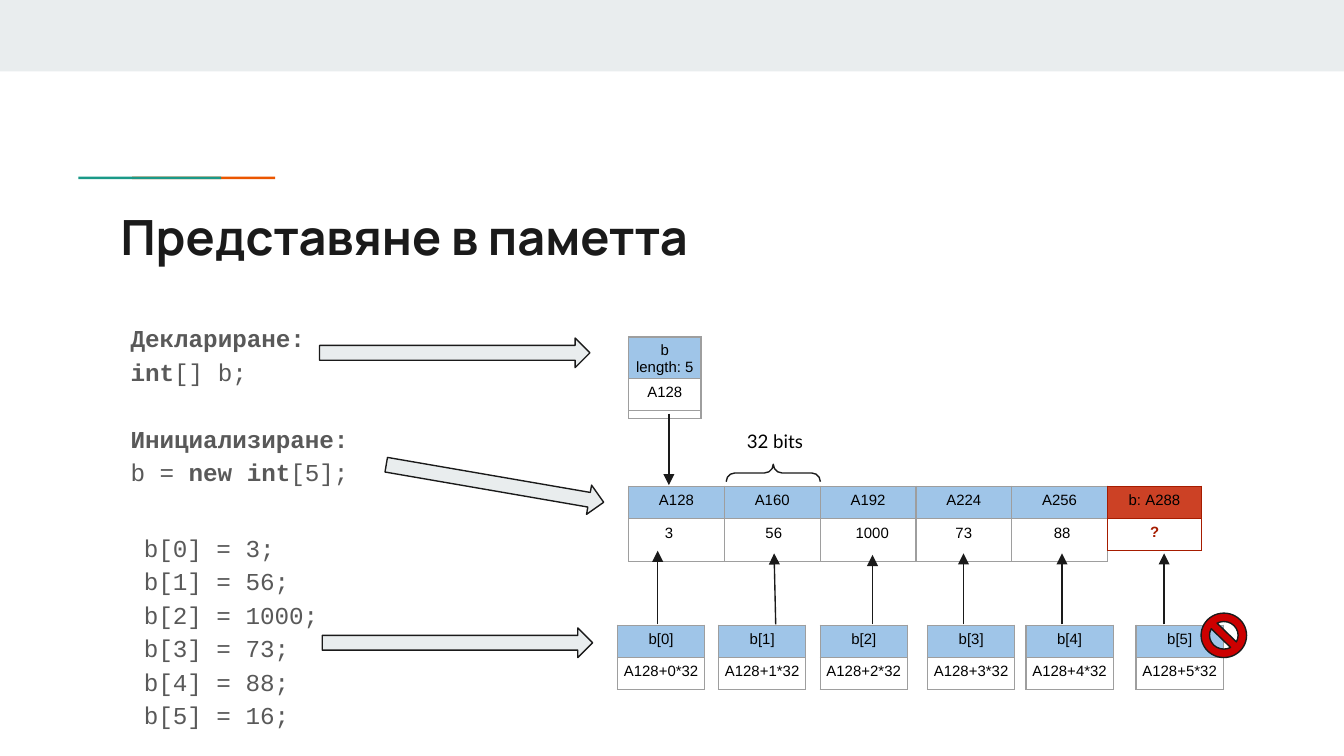
import pptx
import pptx.util
import pptx.dml.color
import pptx.enum.shapes
import pptx.enum.text
import lxml.etree
from dataclasses import dataclass

Cm = pptx.util.Cm
Pt = pptx.util.Pt
Kind = pptx.enum.shapes.MSO_SHAPE
Align = pptx.enum.text.PP_ALIGN
qn = pptx.oxml.ns.qn


@dataclass(frozen=True)
class Theme:
    pale: str = "E9EDEE"
    green: str = "1A9988"
    orange: str = "EB5600"
    ink: str = "1A1A1A"
    gray: str = "595959"
    black: str = "000000"
    grid: str = "9E9E9E"
    blue: str = "9FC5E8"
    red: str = "CC4125"
    dark: str = "A61C00"
    stop: str = "CC0000"
    title: float = 26
    code: float = 13
    note: float = 10
    cell: float = 8
    line: float = 0.75


T = Theme()


def rgb(color):
    return pptx.dml.color.RGBColor.from_string(color)


def style(para, face, size, color, bold=None, align=None):
    font = para.font
    font.name, font.size, font.bold = face, Pt(size), bold
    font.color.rgb = rgb(color)
    para.alignment = align


def box(slide, place, pads=(0.25, 0.25, 0.25, 0.25)):
    frame = slide.shapes.add_textbox(*map(Cm, place)).text_frame
    frame.word_wrap = True
    frame.margin_left, frame.margin_top, frame.margin_right, frame.margin_bottom = map(Cm, pads)
    return frame.paragraphs[0]


def label(slide, place, text, face, size, color, **look):
    para = box(slide, place, look.pop("pads", (0.25, 0.25, 0.25, 0.25)))
    para.text = text
    style(para, face, size, color, **look)


def code(slide, place, lines):
    """Each line is a list of (text, bold) pairs."""
    para = box(slide, place)
    para.line_spacing = 1.15
    style(para, "Courier New", T.code, T.gray)
    for num, line in enumerate(lines):
        if num:
            para.add_line_break()
        for text, bold in line:
            run = para.add_run()
            run.text = text
            run.font.bold = bold


def shape(slide, kind, place, fill=None, line=None, turn=0, adj=()):
    item = slide.shapes.add_shape(kind, *map(Cm, place))
    item.shadow.inherit = False
    item.rotation = turn
    for num, value in enumerate(adj):
        item.adjustments[num] = value
    if fill:
        item.fill.solid()
        item.fill.fore_color.rgb = rgb(fill)
    else:
        item.fill.background()
    if line:
        item.line.color.rgb = rgb(line)
        item.line.width = Pt(T.line)
    else:
        item.line.fill.background()


def arrow(slide, x1, y1, x2, y2):
    item = slide.shapes.add_connector(
        pptx.enum.shapes.MSO_CONNECTOR.STRAIGHT, Cm(x1), Cm(y1), Cm(x2), Cm(y2))
    item.line.color.rgb = rgb(T.ink)
    item.line.width = Pt(T.line)
    lxml.etree.SubElement(item.line._get_or_add_ln(), qn("a:tailEnd"), type="triangle")
    lxml.etree.SubElement(item._element.spPr, qn("a:effectLst"))


def edge(cell, color):
    props = cell._tc.get_or_add_tcPr()
    for side in ("a:lnL", "a:lnR", "a:lnT", "a:lnB"):
        line = lxml.etree.SubElement(props, qn(side), w=str(Pt(T.line)))
        fill = lxml.etree.SubElement(line, qn("a:solidFill"))
        lxml.etree.SubElement(fill, qn("a:srgbClr"), val=color)


def grid(slide, left, top, wide, rows, tall=(0.61, 0.61), head=T.blue, rim=T.grid):
    """Two-row table with a coloured head row."""
    count = len(rows[0])
    table = slide.shapes.add_table(
        2, count, Cm(left), Cm(top), Cm(wide * count), Cm(sum(tall))).table
    table.first_row = table.horz_banding = False
    for col in table.columns:
        col.width = Cm(wide)
    for r, texts in enumerate(rows):
        table.rows[r].height = Cm(tall[r])
        for c, text in enumerate(texts):
            cell = table.cell(r, c)
            cell.margin_left = cell.margin_right = Cm(0.05)
            cell.margin_top, cell.margin_bottom = Cm(0.1), 0
            edge(cell, rim)
            if r == 0:
                cell.fill.solid()
                cell.fill.fore_color.rgb = rgb(head)
            else:
                cell.fill.background()
            cell.text = text
            mark = text == "?"
            for para in cell.text_frame.paragraphs:
                style(para, "Arial", T.cell, T.dark if mark else T.black, mark, Align.CENTER)


def main():
    deck = pptx.Presentation()
    deck.slide_width, deck.slide_height = Cm(25.4), Cm(14.29)
    slide = deck.slides.add_slide(deck.slide_layouts[6])

    # Top band, accent rule and title
    shape(slide, Kind.RECTANGLE, (0, 0, 25.4, 1.35), T.pale)
    for left, color in ((2.5, T.orange), (1.48, T.green)):
        shape(slide, Kind.RECTANGLE, (left, 3.34, 2.7, 0.05), color)
    label(slide, (2.03, 3.66, 21.36, 1.5), "Представяне в паметта",
          "Manrope", T.title, T.ink, bold=True)

    # Code on the left
    code(slide, (2.22, 5.78, 5.77, 2.06),
         [[("Деклариране:", True)], [("int", True), ("[] b;", False)]])
    code(slide, (2.22, 7.68, 5.54, 2.06),
         [[("Инициализиране:", True)],
          [("b = ", False), ("new int", True), ("[5];", False)]])
    code(slide, (2.47, 9.74, 5.54, 4.06),
         [[(f"b[{num}] = {value};", False)]
          for num, value in enumerate((3, 56, 1000, 73, 88, 16))])

    # Block arrows from code to memory
    for place, turn in (((6.04, 6.39, 5.11, 0.56), 0),
                        ((7.27, 8.86, 4.17, 0.56), 9.8),
                        ((6.09, 11.87, 5.11, 0.56), 0)):
        shape(slide, Kind.RIGHT_ARROW, place, T.pale, T.ink, turn, (0.5, 0.5))

    # Array cells, variable and the cell out of bounds
    grid(slide, 11.88, 9.19, 1.81,
         [["А128", "А160", "А192", "А224", "А256"], [""] * 5], (0.61, 0.81))
    grid(slide, 11.88, 6.37, 1.37, [["b"], [""]], (0.61, 0.93))
    grid(slide, 11.88, 6.37, 1.37, [["b\nlength: 5"], ["А128"]], (0.74, 0.61))
    grid(slide, 20.93, 9.19, 1.78, [["b: А288"], ["?"]], head=T.red, rim=T.dark)
    arrow(slide, 12.64, 7.82, 12.64, 9.17)

    # Values stored in the array
    for left, text in zip((12.06, 14.04, 15.9, 17.63, 19.49), ("3", "56", "1000", "73", "88")):
        label(slide, (left, 9.8, 1.17, 0.46), text, "Arial", T.cell, T.black,
              align=Align.CENTER, pads=(0.05, 0.1, 0.05, 0.05))

    # Index boxes: left edge, arrow foot, arrow tip x and y, address
    for num, (left, foot, tip, top, base) in enumerate((
            (11.67, 12.43, 12.43, 10.41, "А128"),
            (13.58, 14.66, 14.63, 10.46, "А128"),
            (15.5, 16.49, 16.49, 10.49, "А128"),
            (17.53, 18.21, 18.21, 10.46, "А128"),
            (19.39, 20.07, 20.07, 10.46, "A128"),
            (21.47, 22, 22, 10.46, "A128"))):
        grid(slide, left, 11.82, 1.65, [[f"b[{num}]"], [f"{base}+{num}*32"]])
        arrow(slide, foot, 11.8, tip, top)

    # Cell width brace and the stop sign
    shape(slide, Kind.RIGHT_BRACE, (14.45, 8.05, 0.33, 1.78), None, T.ink, 270, (0.5, 0.5))
    label(slide, (13.82, 7.92, 1.65, 0.81), "32 bits", "Lato", T.note, T.black, align=Align.CENTER)
    shape(slide, Kind.NO_SYMBOL, (22.7, 11.59, 0.86, 0.84), T.stop, T.ink, adj=(0.19,))

    deck.save("out.pptx")


if __name__ == "__main__":
    main()
